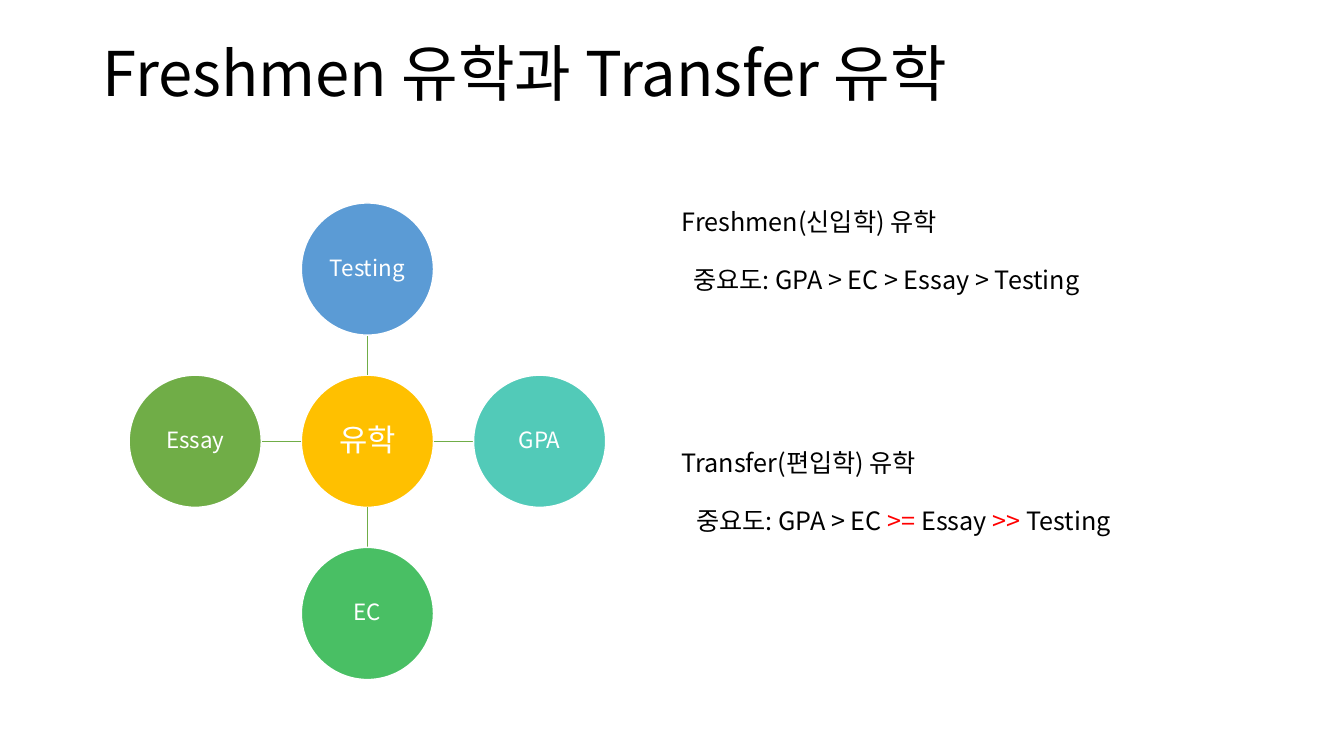
from lxml.etree import SubElement
from pptx import Presentation
from pptx.dml.color import RGBColor
from pptx.enum.shapes import MSO_CONNECTOR, MSO_SHAPE
from pptx.enum.text import MSO_ANCHOR, MSO_AUTO_SIZE, PP_ALIGN
from pptx.oxml.ns import qn
from pptx.util import Cm, Pt

COLORS = {
    "black": "000000", "white": "FFFFFF", "red": "FF0000", "gold": "FFC000",
    "blue": "5B9BD5", "teal": "52CAB8", "green": "49BF64", "olive": "70AD47",
}
FONT = "Noto Sans CJK KR"


def rgb(name):
    return RGBColor.from_string(COLORS[name])


def write(frame, parts, size, frame_format, paragraph_format):
    for key, value in frame_format.items():
        setattr(frame, key, value)
    paragraph = frame.paragraphs[0]
    for key, value in paragraph_format.items():
        setattr(paragraph, key, value)
    for text, color in parts:
        paragraph.add_run().text = text
        font = paragraph.runs[-1].font
        font.name, font.size = FONT, Pt(size)
        font.color.rgb = rgb(color)
        SubElement(font._element, qn("a:ea")).set("typeface", FONT)


prs = Presentation()
prs.slide_width, prs.slide_height = Cm(33.87), Cm(19.05)
slide = prs.slides.add_slide(prs.slide_layouts[5])
shapes = slide.shapes

title = shapes.title
title.left, title.top, title.width, title.height = Cm(2.33), Cm(1.01), Cm(29.21), Cm(3.68)
write(title.text_frame, [("Freshmen 유학과 Transfer 유학", "black")], 44,
      {"vertical_anchor": MSO_ANCHOR.MIDDLE, "auto_size": MSO_AUTO_SIZE.NONE, "word_wrap": True},
      {"alignment": PP_ALIGN.LEFT, "line_spacing": 0.9})
title.text_frame.paragraphs[0].add_line_break()
title.text_frame.paragraphs[0].font.size = Pt(44)

hub_x, hub_y = 9.26, 11.12
diameter, spacing = 3.33, 4.34
radius = diameter / 2
factors = [
    ("유학", "gold", 22, 0, 0),
    ("Testing", "blue", 16, 0, -1),
    ("GPA", "teal", 16, 1, 0),
    ("EC", "green", 16, 0, 1),
    ("Essay", "olive", 16, -1, 0),
]
circle_frame = {"vertical_anchor": MSO_ANCHOR.MIDDLE, "word_wrap": True}
circle_frame.update({f"margin_{side}": Cm(0.03) for side in ("left", "top", "right", "bottom")})
for label, color, size, dx, dy in factors:
    if dx or dy:
        near, far = radius, spacing - radius
        spoke = shapes.add_connector(
            MSO_CONNECTOR.STRAIGHT,
            Cm(hub_x + dx * near), Cm(hub_y + dy * near),
            Cm(hub_x + dx * far), Cm(hub_y + dy * far))
        spoke.line.color.rgb = rgb("olive")
        spoke.line.width = Pt(1)
        SubElement(spoke._element.spPr, qn("a:effectLst"))
    circle = shapes.add_shape(
        MSO_SHAPE.OVAL, Cm(hub_x + dx * spacing - radius), Cm(hub_y + dy * spacing - radius),
        Cm(diameter), Cm(diameter))
    circle.shadow.inherit = False
    circle.fill.solid()
    circle.fill.fore_color.rgb = rgb(color)
    circle.line.color.rgb = rgb("white")
    circle.line.width = Pt(1)
    write(circle.text_frame, [(label, "white")], size, circle_frame,
          {"alignment": PP_ALIGN.CENTER, "line_spacing": 0.9})

notes = [
    (16.93, 5.08, 15.24, [("Freshmen(신입학) 유학", "black")]),
    (17.22, 6.53, 14.3, [("중요도: GPA > EC > Essay > Testing", "black")]),
    (16.93, 11.15, 15.24, [("Transfer(편입학) 유학", "black")]),
    (17.3, 12.6, 14.3, [("중요도: GPA > EC ", "black"), (">= ", "red"), ("Essay ", "black"),
                        (">>", "red"), (" Testing", "black")]),
]
for left, top, width, parts in notes:
    note = shapes.add_textbox(Cm(left), Cm(top), Cm(width), Cm(1.02))
    write(note.text_frame, parts, 18,
          {"word_wrap": True, "auto_size": MSO_AUTO_SIZE.SHAPE_TO_FIT_TEXT}, {})

prs.save("out.pptx")
